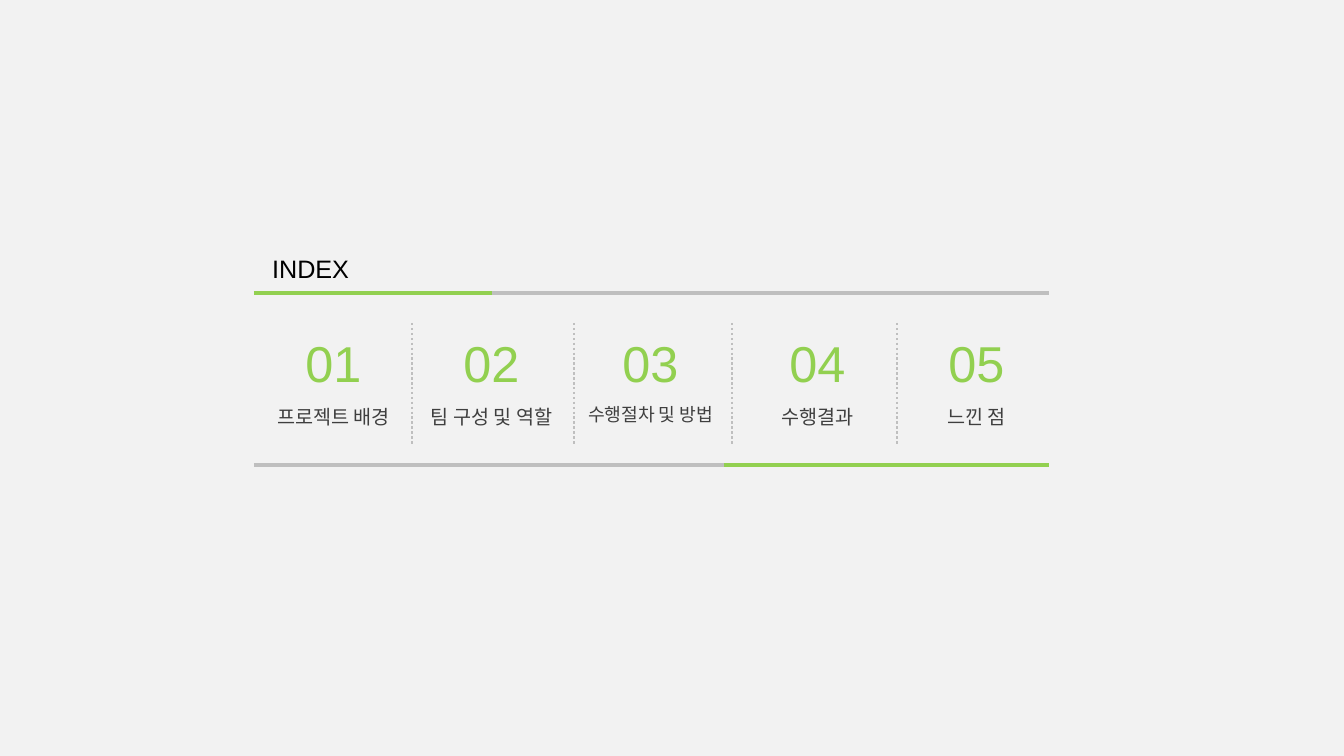
from dataclasses import dataclass

from lxml import etree
from pptx import Presentation
from pptx.dml.color import RGBColor
from pptx.enum.dml import MSO_LINE
from pptx.enum.shapes import MSO_CONNECTOR
from pptx.enum.text import MSO_ANCHOR, MSO_AUTO_SIZE, PP_ALIGN
from pptx.oxml.ns import qn
from pptx.util import Inches, Pt

STRAIGHT = MSO_CONNECTOR.STRAIGHT
DOT = MSO_LINE.ROUND_DOT
TOP = MSO_ANCHOR.TOP
LEFT, CENTER = PP_ALIGN.LEFT, PP_ALIGN.CENTER
NO_AUTOFIT = MSO_AUTO_SIZE.NONE


@dataclass(frozen=True)
class Theme:
    font: str = "Arial"
    background: str = "F2F2F2"
    accent: str = "92D050"
    rule: str = "BFBFBF"
    title: str = "000000"
    label: str = "3F3F3F"
    title_size: int = 18
    number_size: int = 36
    rule_width: float = 2.5
    accent_width: float = 3
    divider_width: float = 1.75


THEME = Theme()

TITLE = "INDEX"
# label, label size, column left
SECTIONS = [
    ("프로젝트 배경", 14, 254),
    ("팀 구성 및 역할", 14, 412),
    ("수행절차 및 방법", 13, 571),
    ("수행결과", 14, 738),
    ("느낀 점", 14, 897),
]
DIVIDERS = [412, 574, 732, 897]

SLIDE_WIDTH, SLIDE_HEIGHT = 1344, 756
FRAME_LEFT, FRAME_RIGHT = 254, 1049
TOP_RULE, BOTTOM_RULE = 293, 465
COLUMN_TOP, COLUMN_WIDTH, COLUMN_HEIGHT = 297, 159, 126
DIVIDER_TOP, DIVIDER_BOTTOM = 323, 446
# left, right, y, colour, width
RULES = [
    (422, FRAME_RIGHT, TOP_RULE, THEME.rule, THEME.rule_width),
    (FRAME_LEFT, 492, TOP_RULE, THEME.accent, THEME.accent_width),
    (FRAME_LEFT, 809, BOTTOM_RULE, THEME.rule, THEME.rule_width),
    (724, FRAME_RIGHT, BOTTOM_RULE, THEME.accent, THEME.accent_width),
]


def px(value):
    return round(value * Inches(1) / 100.8)


def add_line(slide, start, end, color, width, dash=None):
    line = slide.shapes.add_connector(STRAIGHT, *map(px, (*start, *end)))
    line.line.color.rgb = RGBColor.from_string(color)
    line.line.width = Pt(width)
    if dash:
        line.line.dash_style = dash
    properties = line._element.find(qn("p:spPr"))
    etree.SubElement(properties, qn("a:effectLst"))


def format_paragraph(paragraph, size, color, alignment, spacing):
    paragraph.alignment = alignment
    paragraph.line_spacing = spacing
    for run in paragraph.runs:
        run.font.name = THEME.font
        run.font.size = Pt(size)
        run.font.color.rgb = RGBColor.from_string(color)


def add_title(slide):
    title = slide.shapes.title
    title.left, title.top, title.width, title.height = map(px, (262, 248, 635, 40))
    frame = title.text_frame
    frame.text = TITLE
    frame.vertical_anchor = TOP
    frame.auto_size = NO_AUTOFIT
    format_paragraph(frame.paragraphs[0], THEME.title_size, THEME.title, LEFT, 1.0)


def add_section(slide, number, label, label_size, left):
    box = slide.shapes.add_textbox(
        *map(px, (left, COLUMN_TOP, COLUMN_WIDTH, COLUMN_HEIGHT)))
    frame = box.text_frame
    frame.word_wrap = True
    frame.text = f"{number:02}\n{label}"
    heading, caption = frame.paragraphs
    format_paragraph(heading, THEME.number_size, THEME.accent, CENTER, 1.5)
    format_paragraph(caption, label_size, THEME.label, CENTER, 1.5)


def main():
    presentation = Presentation()
    presentation.slide_width = px(SLIDE_WIDTH)
    presentation.slide_height = px(SLIDE_HEIGHT)
    slide = presentation.slides.add_slide(presentation.slide_layouts[5])
    background = slide.background.fill
    background.solid()
    background.fore_color.rgb = RGBColor.from_string(THEME.background)

    add_title(slide)
    for left, right, y, color, width in RULES:
        add_line(slide, (left, y), (right, y), color, width)
    for number, section in enumerate(SECTIONS, start=1):
        add_section(slide, number, *section)
    for x in DIVIDERS:
        add_line(slide, (x, DIVIDER_TOP), (x, DIVIDER_BOTTOM),
                 THEME.rule, THEME.divider_width, DOT)

    presentation.save("out.pptx")


if __name__ == "__main__":
    main()
